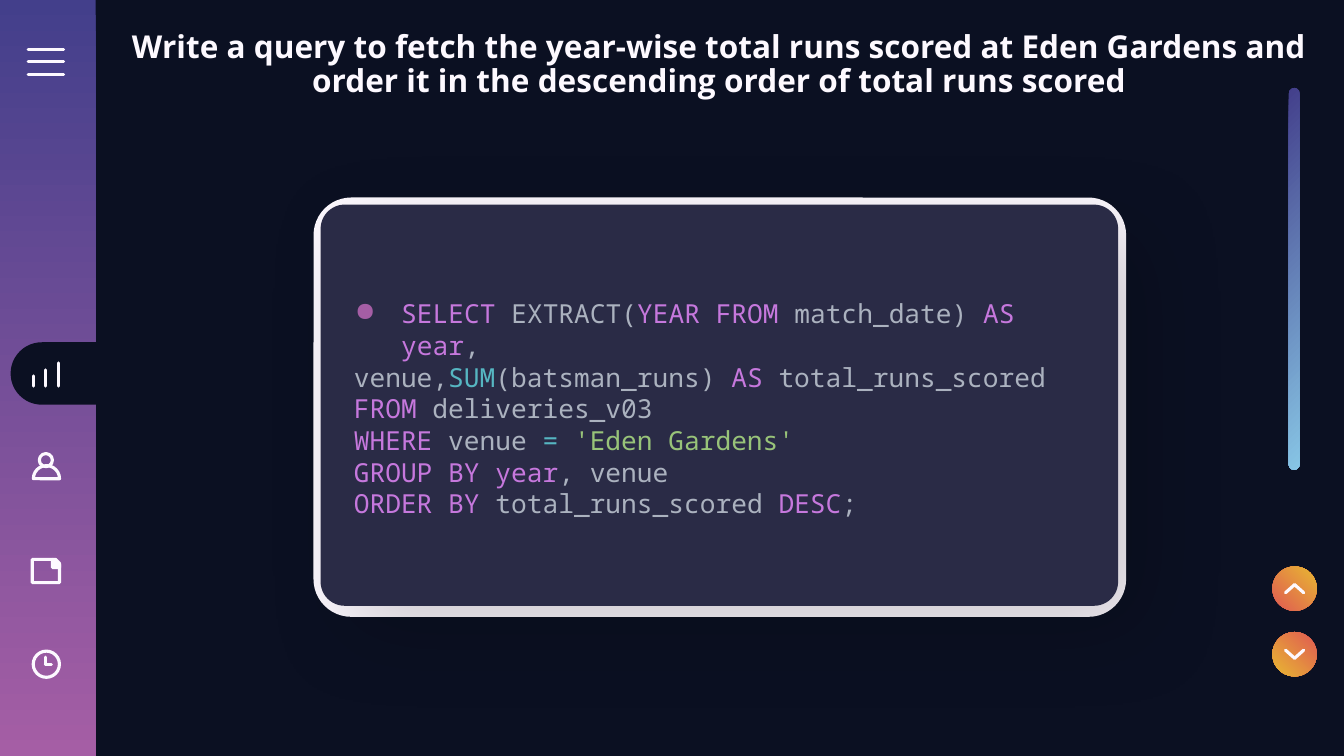
from lxml import etree
from pptx import Presentation
from pptx.dml.color import RGBColor
from pptx.enum.shapes import MSO_CONNECTOR, MSO_SHAPE
from pptx.enum.text import MSO_ANCHOR, MSO_AUTO_SIZE, PP_ALIGN
from pptx.oxml.ns import qn
from pptx.util import Inches, Pt

STRAIGHT = MSO_CONNECTOR.STRAIGHT
RECT, OVAL, PIE = MSO_SHAPE.RECTANGLE, MSO_SHAPE.OVAL, MSO_SHAPE.PIE
ROUNDED, TAB = MSO_SHAPE.ROUNDED_RECTANGLE, MSO_SHAPE.ROUND_2_SAME_RECTANGLE
SNIPPED = MSO_SHAPE.SNIP_1_RECTANGLE
MIDDLE, CENTER, NO_FIT = MSO_ANCHOR.MIDDLE, PP_ALIGN.CENTER, MSO_AUTO_SIZE.NONE

COLORS = {
    "night": "0B1022", "white": "FDF9FF", "indigo": "433F8B", "purple": "A55EA5",
    "sky": "87C5E5", "red": "DF5953", "amber": "E8B832", "panel": "2A2B46",
    "black": "000000", "keyword": "C678DD", "plain": "ABB2BF",
    "function": "56B6C2", "string": "98C379",
}

TITLE = ("Write a query to fetch the year-wise total runs scored at Eden Gardens "
         "and order it in the descending order of total runs scored")
QUERY = [
    [("SELECT", "keyword"), (" EXTRACT(", "plain"), ("YEAR FROM", "keyword"),
     (" match_date) ", "plain"), ("AS year", "keyword"), (",", "plain")],
    [("venue,", "plain"), ("SUM", "function"), ("(batsman_runs) ", "plain"),
     ("AS", "keyword"), (" total_runs_scored", "plain")],
    [("FROM", "keyword"), (" deliveries_v03", "plain")],
    [("WHERE", "keyword"), (" venue ", "plain"), ("= ", "function"),
     ("'Eden Gardens'", "string")],
    [("GROUP BY year", "keyword"), (", venue", "plain")],
    [("ORDER BY", "keyword"), (" total_runs_scored ", "plain"),
     ("DESC", "keyword"), (";", "plain")],
]


def rgb(name):
    return RGBColor.from_string(COLORS[name])


def add_span(para, text, *, font, size, color, bold=False):
    span = para.add_run()
    span.text = text
    span.font.name = font
    span.font.size = Pt(size)
    span.font.bold = bold
    span.font.color.rgb = rgb(color)


def indent(para, left, first=0.0, bullet=None, bullet_color=None):
    """Set the paragraph indents in inches and an optional bullet."""
    props = para._p.get_or_add_pPr()
    props.set("marL", str(Inches(left)))
    props.set("indent", str(Inches(first)))
    if bullet:
        tint = etree.SubElement(props, qn("a:buClr"))
        etree.SubElement(tint, qn("a:srgbClr"), val=COLORS[bullet_color])
        etree.SubElement(props, qn("a:buChar"), char=bullet)


class Page:
    stroke = 2.25
    inset = Inches(0.13)

    def __init__(self, deck):
        self.slide = deck.slides.add_slide(deck.slide_layouts[5])
        self.slide.background.fill.solid()
        self.slide.background.fill.fore_color.rgb = rgb("night")

    def outline(self, item):
        item.line.color.rgb = rgb("white")
        item.line.width = Pt(self.stroke)

    def shape(self, kind, box, fill=None, gradient=None, angle=0, rotation=0,
              adjust=(), outlined=False):
        """Add a preset shape; angle is the clockwise gradient direction."""
        item = self.slide.shapes.add_shape(kind, *map(Inches, box))
        item.shadow.inherit = False
        item.rotation = rotation
        for index, value in enumerate(adjust):
            item.adjustments[index] = value
        if gradient:
            item.fill.gradient()
            item.fill.gradient_angle = (360 - angle) % 360
            for stop, name in zip(item.fill.gradient_stops, gradient):
                stop.color.rgb = rgb(name)
        elif fill:
            item.fill.solid()
            item.fill.fore_color.rgb = rgb(fill)
        else:
            item.fill.background()
        if outlined:
            self.outline(item)
        else:
            item.line.fill.background()
        return item

    def line(self, x1, y1, x2, y2):
        item = self.slide.shapes.add_connector(STRAIGHT, *map(Inches, (x1, y1, x2, y2)))
        self.outline(item)
        item.line._get_or_add_ln().set("cap", "rnd")
        etree.SubElement(item._element.spPr, qn("a:effectLst"))

    def outline_path(self, points, fill):
        corners = [(Inches(x), Inches(y)) for x, y in points]
        builder = self.slide.shapes.build_freeform(*corners[0])
        builder.add_line_segments(corners[1:], close=True)
        item = builder.convert_to_shape()
        item.shadow.inherit = False
        item.fill.solid()
        item.fill.fore_color.rgb = rgb(fill)
        self.outline(item)

    def shadow(self, item, color, alpha, blur, distance, angle):
        effects = item._element.spPr.find(qn("a:effectLst"))
        outer = etree.SubElement(
            effects, qn("a:outerShdw"), blurRad=str(Pt(blur)), dist=str(Pt(distance)),
            dir=str(angle * 60000), algn="bl", rotWithShape="0")
        tint = etree.SubElement(outer, qn("a:srgbClr"), val=COLORS[color])
        etree.SubElement(tint, qn("a:alpha"), val=str(alpha * 1000))

    def frame(self, item):
        frame = item.text_frame
        frame.word_wrap = True
        frame.auto_size = NO_FIT
        frame.vertical_anchor = MIDDLE
        frame.margin_left = frame.margin_right = self.inset
        frame.margin_top = frame.margin_bottom = self.inset
        return frame

    def title(self, text, box):
        item = self.slide.shapes.title
        item.left, item.top, item.width, item.height = map(Inches, box)
        para = self.frame(item).paragraphs[0]
        para.alignment = CENTER
        para.line_spacing = 0.9
        add_span(para, text, font="Open Sans", size=22.5, color="white", bold=True)

    def code(self, lines, box):
        frame = self.frame(self.slide.shapes.add_textbox(*map(Inches, box)))
        for index, spans in enumerate(lines):
            para = frame.add_paragraph() if index else frame.paragraphs[0]
            para.line_spacing = 1.01
            if index:
                indent(para, 0.2)
            else:
                indent(para, 0.67, -0.46, "●", "purple")
            for text, color in spans:
                add_span(para, text, font="Noto Sans Mono", size=18.7, color=color)

    def arrow_button(self, top, tip, wing, rotation):
        """Add a round button whose chevron runs from tip height to wing height."""
        self.shape(OVAL, (12.62, top, 0.44, 0.44), gradient=("red", "amber"),
                   angle=315, rotation=rotation)
        for side in (-0.09, 0.09):
            self.line(12.84, tip, 12.84 + side, wing)


def add_sidebar(page):
    page.shape(RECT, (0, 0, 0.95, 7.5), gradient=("indigo", "purple"), angle=90)
    page.shape(TAB, (0.27, 3.23, 0.62, 0.95), fill="night", rotation=270, adjust=(0.5, 0))
    for y in (0.49, 0.61, 0.74):
        page.line(0.28, y, 0.63, y)
    for x, top in ((0.33, 3.73), (0.45, 3.67), (0.58, 3.6)):
        page.line(x, top, x, 3.83)
    # Person
    page.shape(OVAL, (0.39, 4.5, 0.13, 0.13), outlined=True)
    page.shape(PIE, (0.33, 4.62, 0.26, 0.26), rotation=90, adjust=(54.33, 162), outlined=True)
    # Note
    page.shape(SNIPPED, (0.32, 5.55, 0.27, 0.23), adjust=(0.17,), outlined=True)
    page.outline_path([(0.52, 5.55), (0.55, 5.56), (0.59, 5.6), (0.59, 5.63), (0.52, 5.63)],
                      fill="white")
    # Clock
    page.shape(OVAL, (0.33, 6.46, 0.26, 0.26), outlined=True)
    page.line(0.45, 6.52, 0.45, 6.59)
    page.line(0.51, 6.59, 0.45, 6.59)


def main():
    deck = Presentation()
    deck.slide_width, deck.slide_height = Inches(13.33), Inches(7.5)
    page = Page(deck)
    add_sidebar(page)
    page.shape(ROUNDED, (10.94, 2.71, 3.79, 0.11), gradient=("indigo", "sky"), angle=315,
               rotation=90, adjust=(0.5,))
    page.title(TITLE, (0.94, 0.15, 12.39, 0.99))
    page.shape(ROUNDED, (3.11, 1.96, 8.06, 4.16), fill="white", adjust=(0.09,))
    page.arrow_button(6.27, tip=6.53, wing=6.45, rotation=180)
    page.arrow_button(5.62, tip=5.8, wing=5.88, rotation=0)
    panel = page.shape(ROUNDED, (3.18, 2.03, 7.91, 3.98), fill="panel", adjust=(0.06,))
    page.shadow(panel, "black", alpha=18, blur=63, distance=27, angle=45)
    page.code(QUERY, (3.18, 2.12, 7.83, 3.86))
    deck.save("out.pptx")


if __name__ == "__main__":
    main()
